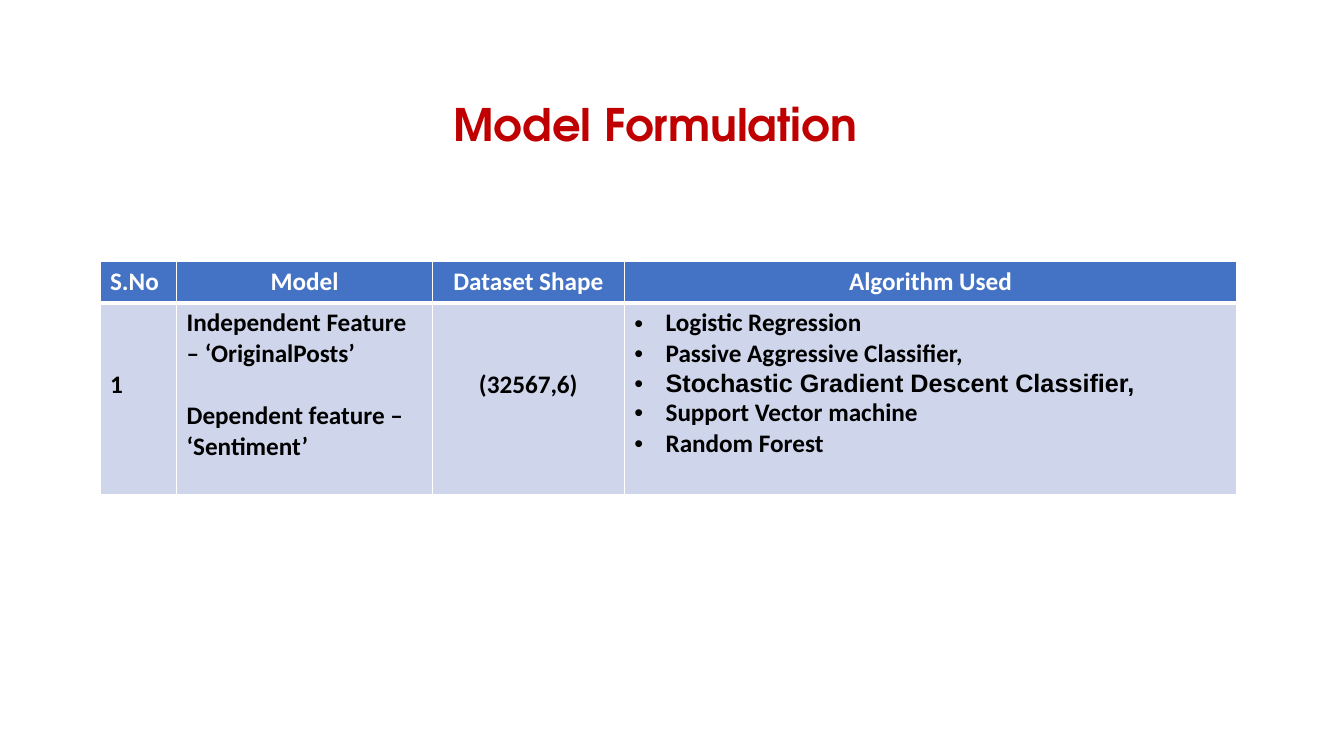
from dataclasses import dataclass

from lxml import etree
from pptx import Presentation
from pptx.dml.color import RGBColor
from pptx.enum.text import MSO_AUTO_SIZE, PP_ALIGN
from pptx.oxml.ns import qn
from pptx.slide import Slide
from pptx.table import _Cell
from pptx.text.text import TextFrame, _Paragraph
from pptx.util import Cm, Pt

LEFT, CENTER = PP_ALIGN.LEFT, PP_ALIGN.CENTER
FIT_SHAPE = MSO_AUTO_SIZE.SHAPE_TO_FIT_TEXT

WHITE, BLACK, RED = "FFFFFF", "000000", "C00000"
HEADER_FILL, BODY_FILL = "4472C4", "CFD5EA"
ROW_HEIGHTS = (1.04, 4.83)
BULLET_INDENT = 0.79
THIN, THICK = 1, 3


@dataclass(frozen=True)
class Line:
    text: str
    font: str = "Calibri"
    space_before: float = 0


@dataclass(frozen=True)
class Column:
    heading: str
    width: float
    lines: tuple[Line, ...]
    heading_align: PP_ALIGN = CENTER
    align: PP_ALIGN = LEFT
    top_margin: float = 0.13
    bulleted: bool = False


COLUMNS = (
    Column("S.No", 1.93, (Line("1"),), heading_align=LEFT, top_margin=1.68),
    Column("Model", 6.45, (
        Line("Independent Feature – ‘OriginalPosts’"),
        Line("Dependent feature – ‘Sentiment’", space_before=22),
    )),
    Column("Dataset Shape", 4.83, (Line("(32567,6)"),), align=CENTER, top_margin=1.68),
    Column("Algorithm Used", 15.44, (
        Line("Logistic Regression"),
        Line("Passive Aggressive Classifier,"),
        Line("Stochastic Gradient Descent Classifier,", font="Arial"),
        Line("Support Vector machine"),
        Line("Random Forest"),
    ), bulleted=True),
)


def color(value: str) -> RGBColor:
    return RGBColor.from_string(value)


def write_text(para: _Paragraph, text: str, *, font: str = "Calibri", size: float = 18,
               fill: str = BLACK, align: PP_ALIGN = LEFT, space_before: float = 0) -> None:
    para.alignment = align
    para.space_before = Pt(space_before)
    span = para.add_run()
    span.text = text
    span.font.name = font
    span.font.size = Pt(size)
    span.font.bold = True
    span.font.color.rgb = color(fill)


def add_bullet(para: _Paragraph) -> None:
    properties = para._p.get_or_add_pPr()
    properties.set("marL", str(Cm(BULLET_INDENT)))
    properties.set("indent", str(-Cm(BULLET_INDENT)))
    bullet_color = etree.SubElement(properties, qn("a:buClr"))
    etree.SubElement(bullet_color, qn("a:srgbClr"), val=BLACK)
    etree.SubElement(properties, qn("a:buFont"), typeface="Arial")
    etree.SubElement(properties, qn("a:buChar"), char="•")


def style_cell(cell: _Cell, fill: str, top: float, bottom: float) -> None:
    properties = cell._tc.get_or_add_tcPr()
    for side, width in (("L", THIN), ("R", THIN), ("T", top), ("B", bottom)):
        border = etree.SubElement(properties, qn(f"a:ln{side}"), w=str(Pt(width)))
        solid = etree.SubElement(border, qn("a:solidFill"))
        etree.SubElement(solid, qn("a:srgbClr"), val=WHITE)
    cell.fill.solid()
    cell.fill.fore_color.rgb = color(fill)


def write_lines(frame: TextFrame, column: Column) -> None:
    for index, line in enumerate(column.lines):
        para = frame.add_paragraph() if index else frame.paragraphs[0]
        write_text(para, line.text, font=line.font, align=column.align,
                   space_before=line.space_before)
        if column.bulleted:
            add_bullet(para)


def add_title(page: Slide) -> None:
    box = page.shapes.add_textbox(Cm(11.18), Cm(2.3), Cm(10.72), Cm(1.63))
    box.text_frame.word_wrap = False
    box.text_frame.auto_size = FIT_SHAPE
    write_text(box.text_frame.paragraphs[0], "Model Formulation",
               font="TeX Gyre Adventor", size=32, fill=RED)


def add_model_table(page: Slide) -> None:
    width = sum(column.width for column in COLUMNS)
    table = page.shapes.add_table(len(ROW_HEIGHTS), len(COLUMNS), Cm(2.52), Cm(6.59),
                                  Cm(width), Cm(sum(ROW_HEIGHTS))).table
    for row, height in zip(table.rows, ROW_HEIGHTS):
        row.height = Cm(height)
    for index, column in enumerate(COLUMNS):
        table.columns[index].width = Cm(column.width)
        header, body = table.cell(0, index), table.cell(1, index)
        style_cell(header, HEADER_FILL, THIN, THICK)
        write_text(header.text_frame.paragraphs[0], column.heading,
                   fill=WHITE, align=column.heading_align)
        style_cell(body, BODY_FILL, THICK, THIN)
        body.margin_top = Cm(column.top_margin)
        write_lines(body.text_frame, column)


def main() -> None:
    deck = Presentation()
    deck.slide_width, deck.slide_height = Cm(33.87), Cm(19.05)
    page = deck.slides.add_slide(deck.slide_layouts[6])
    add_title(page)
    add_model_table(page)
    deck.save("out.pptx")


if __name__ == "__main__":
    main()
